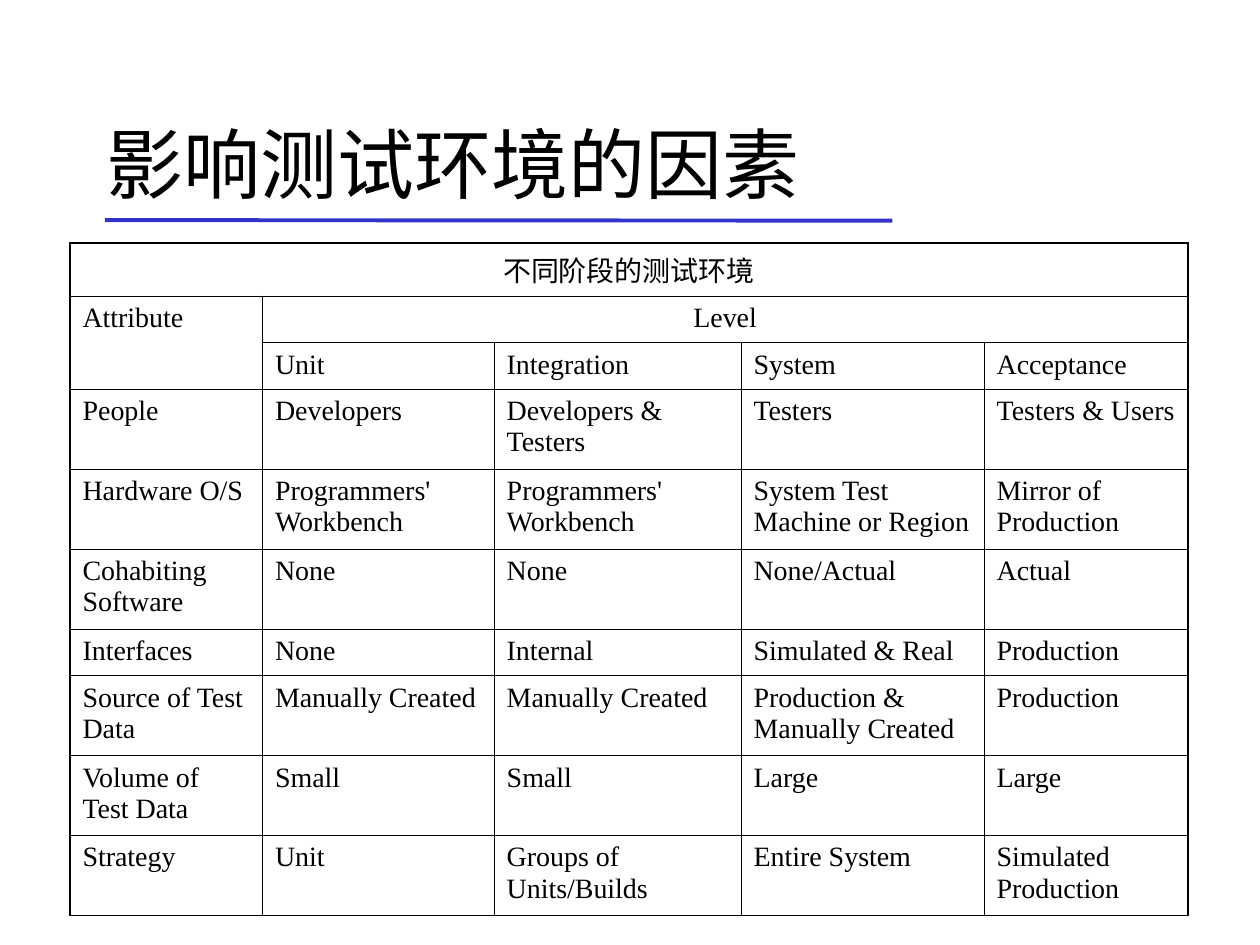
from lxml import etree
from pptx import Presentation
from pptx.dml.color import RGBColor
from pptx.enum.shapes import MSO_CONNECTOR
from pptx.enum.text import MSO_ANCHOR, PP_ALIGN
from pptx.oxml.ns import qn
from pptx.util import Pt

STRAIGHT = MSO_CONNECTOR.STRAIGHT
MIDDLE = MSO_ANCHOR.MIDDLE
LEFT, CENTER = PP_ALIGN.LEFT, PP_ALIGN.CENTER

COLORS = {"ink": "000000", "rule": "3333CC"}
LATIN_FONT, CHINESE_FONT = "Times New Roman", "Noto Sans CJK SC"
OUTER_BORDER, INNER_BORDER = 1.08, 0.45

COLUMN_WIDTHS = [110, 132.4, 141.1, 138.9, 116.4]
HEADING_ROW, SINGLE_ROW, DOUBLE_ROW = 30.3, 26.6, 45.7
MERGES = [((0, 0), (0, 4)), ((1, 0), (2, 0)), ((1, 1), (1, 4))]
ROWS = [
    (HEADING_ROW, ["不同阶段的测试环境"]),
    (SINGLE_ROW, ["Attribute", "Level"]),
    (SINGLE_ROW, ["", "Unit", "Integration", "System", "Acceptance"]),
    (DOUBLE_ROW, ["People", "Developers", "Developers & Testers", "Testers", "Testers & Users"]),
    (DOUBLE_ROW, ["Hardware O/S", "Programmers' Workbench", "Programmers' Workbench",
                  "System Test Machine or Region", "Mirror of Production"]),
    (DOUBLE_ROW, ["Cohabiting Software", "None", "None", "None/Actual", "Actual"]),
    (SINGLE_ROW, ["Interfaces", "None", "Internal", "Simulated & Real", "Production"]),
    (DOUBLE_ROW, ["Source of Test Data", "Manually Created", "Manually Created",
                  "Production & Manually Created", "Production"]),
    (DOUBLE_ROW, ["Volume of Test Data", "Small", "Small", "Large", "Large"]),
    (DOUBLE_ROW, ["Strategy", "Unit", "Groups of Units/Builds", "Entire System",
                  "Simulated Production"]),
]


def write_text(paragraph, text, size, font_name, **paragraph_format):
    """Write one formatted run into a paragraph."""
    for name, value in paragraph_format.items():
        setattr(paragraph, name, value)
    run = paragraph.add_run()
    run.text = text
    for name, value in {"size": Pt(size), "name": font_name}.items():
        setattr(run.font, name, value)
    run.font.color.rgb = RGBColor.from_string(COLORS["ink"])
    east_asian = etree.SubElement(run.font._element, qn("a:ea"))
    east_asian.set("typeface", CHINESE_FONT)


def set_borders(cell, widths):
    """Draw the borders of a cell from a dict of side letters and widths."""
    properties = cell._tc.get_or_add_tcPr()
    for side, width in widths.items():
        line = etree.SubElement(properties, qn(f"a:ln{side}"), w=str(Pt(width)))
        fill = etree.SubElement(line, qn("a:solidFill"))
        etree.SubElement(fill, qn("a:srgbClr"), val=COLORS["ink"])


def add_title(slide, left, top, width, height):
    """Place the title and the rule that underlines it."""
    rule_left, rule_top = Pt(left + 6), Pt(top + 77.8)
    rule = slide.shapes.add_connector(STRAIGHT, rule_left, rule_top,
                                      rule_left + Pt(450), rule_top + Pt(0.3))
    rule.line.width = Pt(2.25)
    rule.line.color.rgb = RGBColor.from_string(COLORS["rule"])
    etree.SubElement(rule._element.spPr, qn("a:effectLst"))

    title = slide.shapes.add_textbox(Pt(left), Pt(top), Pt(width), Pt(height))
    frame = title.text_frame
    for name, value in {"word_wrap": True, "vertical_anchor": MIDDLE}.items():
        setattr(frame, name, value)
    write_text(frame.paragraphs[0], "影响测试环境的因素", 44, CHINESE_FONT, alignment=LEFT)


def add_environment_table(slide, left, top):
    """Place the table of test environments by level."""
    row_count, column_count = len(ROWS), len(COLUMN_WIDTHS)
    width, height = sum(COLUMN_WIDTHS), sum(row_height for row_height, _ in ROWS)
    table = slide.shapes.add_table(row_count, column_count, Pt(left), Pt(top),
                                   Pt(width), Pt(height)).table
    table.first_row = table.horz_banding = False
    for column, column_width in zip(table.columns, COLUMN_WIDTHS):
        column.width = Pt(column_width)
    for start, end in MERGES:
        table.cell(*start).merge(table.cell(*end))

    for row, (row_height, texts) in enumerate(ROWS):
        table.rows[row].height = Pt(row_height)
        for column in range(column_count):
            cell = table.cell(row, column)
            on_edge = {
                "L": column == 0,
                "R": column + cell.span_width == column_count,
                "T": row == 0,
                "B": row + cell.span_height == row_count,
            }
            set_borders(cell, {side: OUTER_BORDER if edge else INNER_BORDER
                               for side, edge in on_edge.items()})
            cell.fill.background()
            if column < len(texts) and texts[column]:
                write_text(cell.text_frame.paragraphs[0], texts[column], 16,
                           CHINESE_FONT if row == 0 else LATIN_FONT,
                           alignment=CENTER if cell.span_width > 1 else LEFT,
                           space_before=Pt(4))


def main():
    """Build the slide and save it."""
    presentation = Presentation()
    presentation.slide_width, presentation.slide_height = Pt(720), Pt(540)
    slide = presentation.slides.add_slide(presentation.slide_layouts[6])
    add_title(slide, 54, 48, 612, 90)
    add_environment_table(slide, 40, 139)
    presentation.save("out.pptx")


if __name__ == "__main__":
    main()
